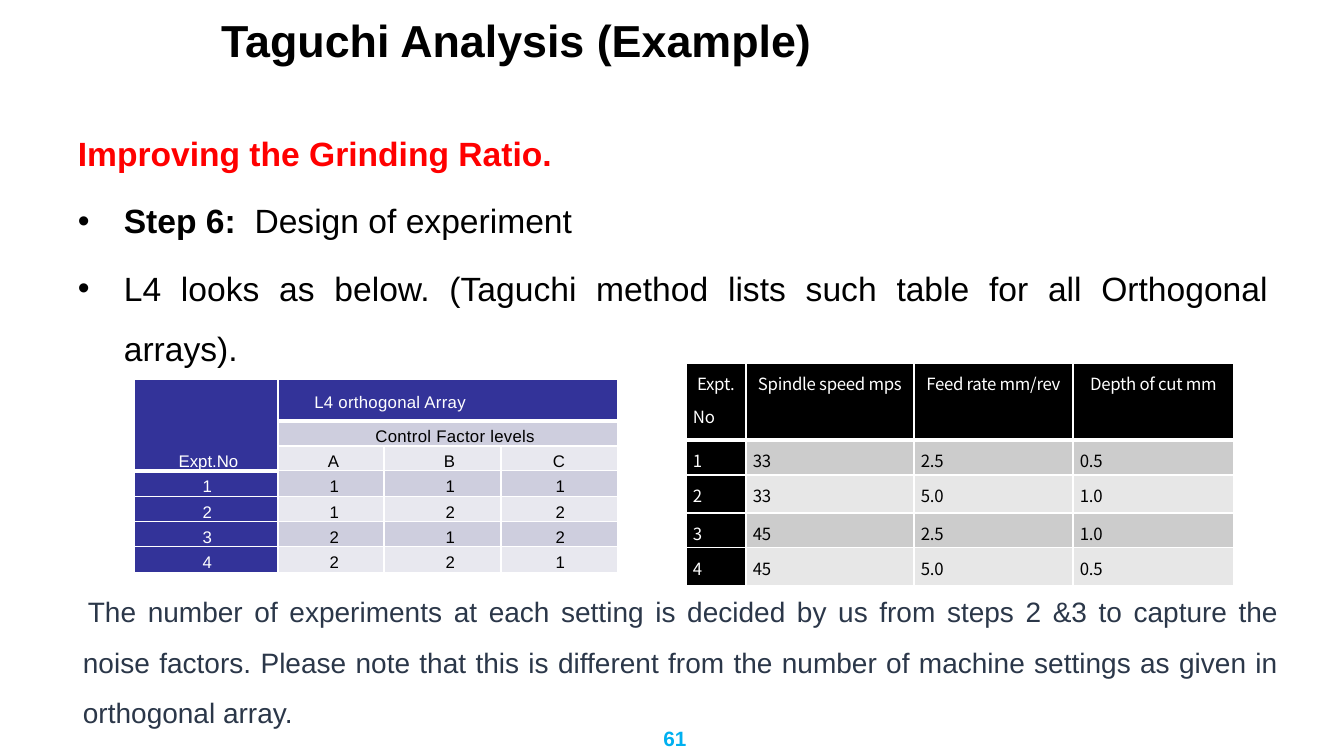
import lxml.etree
import pptx
import pptx.dml.color
import pptx.enum.text
import pptx.oxml.ns
import pptx.util

ALIGN = pptx.enum.text.PP_ALIGN
ANCHOR = pptx.enum.text.MSO_ANCHOR
EMU_PER_PX = 12192000 / 1344


def px(length):
    """Turn px into EMU."""
    return pptx.util.Emu(round(length * EMU_PER_PX))


def color(value):
    """Turn a hex string into a colour."""
    return pptx.dml.color.RGBColor.from_string(value)


def add_element(parent, tag, **attributes):
    """Append a DrawingML element."""
    element = lxml.etree.SubElement(parent, pptx.oxml.ns.qn("a:" + tag))
    for name, value in attributes.items():
        element.set(name, str(value))
    return element


def place(shape, box):
    """Move a shape to a px box."""
    shape.left, shape.top, shape.width, shape.height = map(px, box)


def write(paragraph, text, size=12, font="Arial", ink="000000", bold=False,
          align=None, line_spacing=None, space_before=0, left=0, indent=0,
          bullet=None, tracking=0):
    """Add a run of text and format its paragraph."""
    paragraph.alignment = align
    paragraph.line_spacing = line_spacing
    paragraph.space_before = pptx.util.Pt(space_before)
    properties = paragraph._p.get_or_add_pPr()
    properties.set("marL", str(px(left)))
    properties.set("indent", str(px(indent)))
    if bullet and properties.find(pptx.oxml.ns.qn("a:buChar")) is None:
        add_element(properties, "buFont", typeface="Arial")
        add_element(properties, "buChar", char=bullet)
    run = paragraph.add_run()
    run.text = text
    run.font.size = pptx.util.Pt(size)
    run.font.name = font
    run.font.bold = bold
    run.font.color.rgb = color(ink)
    if tracking:
        run._r.get_or_add_rPr().set("spc", str(tracking))


def add_text_box(slide, box):
    """Add a wrapping text box and return its frame."""
    frame = slide.shapes.add_textbox(*map(px, box)).text_frame
    frame.word_wrap = True
    return frame


def add_title(slide, box):
    """Place and write the title."""
    title = slide.shapes.title
    place(title, box)
    frame = title.text_frame
    frame.auto_size = pptx.enum.text.MSO_AUTO_SIZE.NONE
    frame.vertical_anchor = ANCHOR.MIDDLE
    write(frame.paragraphs[0], "Taguchi Analysis (Example)", size=32, bold=True,
          align=ALIGN.LEFT)


def add_steps(slide, box):
    """Write the red heading and the bulleted steps."""
    frame = add_text_box(slide, box)
    body = dict(size=24, align=ALIGN.JUSTIFY, line_spacing=1.5)
    item = dict(body, space_before=4.8, left=46, indent=-46, bullet="•")
    write(frame.paragraphs[0], "Improving the Grinding Ratio.", ink="FF0000",
          bold=True, **body)
    design = frame.add_paragraph()
    write(design, "Step 6: ", bold=True, **item)
    write(design, " Design of experiment", **item)
    write(frame.add_paragraph(), "L4 looks as below. (Taguchi method lists such "
          "table for all Orthogonal arrays).", **item)


def add_note(slide, box):
    """Write the note under the tables."""
    frame = add_text_box(slide, box)
    frame.margin_right = px(33)
    write(frame.paragraphs[0], "The number of experiments at each setting is decided "
          "by us from steps 2 &3 to capture the noise factors. Please note that this "
          "is different from the number of machine settings as given in orthogonal "
          "array.", size=20, ink="2B3749", align=ALIGN.JUSTIFY, line_spacing=1.5,
          left=5, indent=5)


def add_page_number(slide, box):
    """Write the page number."""
    write(add_text_box(slide, box).paragraphs[0], "61", size=14.8, ink="00B0F0",
          bold=True, align=ALIGN.CENTER)


def add_banded_table(slide, corner, widths, heights, head, bands, side_margin):
    """Add a table with filled header row and column, banded rows and white borders."""
    box = (*corner, sum(widths), sum(heights))
    table = slide.shapes.add_table(len(heights), len(widths), *map(px, box)).table
    for column, width in zip(table.columns, widths):
        column.width = px(width)
    for row_index, height in enumerate(heights):
        table.rows[row_index].height = px(height)
        for column_index in range(len(widths)):
            cell = table.cell(row_index, column_index)
            cell.margin_left = cell.margin_right = px(side_margin)
            cell.margin_top = cell.margin_bottom = 0
            properties = cell._tc.get_or_add_tcPr()
            for side in "LRTB":
                points = 3 if side == "B" and row_index == 0 else 1
                line = add_element(properties, "ln" + side, w=pptx.util.Pt(points))
                fill = add_element(line, "solidFill")
                add_element(fill, "srgbClr", val="FFFFFF")
            cell.fill.solid()
            is_head = row_index == 0 or column_index == 0
            cell.fill.fore_color.rgb = color(head if is_head else bands[row_index % 2])
    return table


def add_orthogonal_array(slide, corner):
    """Add the L4 array of factor levels."""
    table = add_banded_table(slide, corner, [144, 106, 117, 117],
                             [42, 25, 25, 26, 25, 25, 26], "333399",
                             ["E8E8EF", "CECEDE"], 0)
    table.cell(0, 0).merge(table.cell(2, 0))
    table.cell(0, 1).merge(table.cell(0, 3))
    table.cell(1, 1).merge(table.cell(1, 3))
    rows = [["Expt.No", "L4 orthogonal Array"], ["", "Control Factor levels"],
            ["", "A", "B", "C"], "1111", "2122", "3212", "4221"]
    digit_margins = [66, 45, 46, 53]
    span_margins = {0: 152, 1: 83}
    for row_index, texts in enumerate(rows):
        for column_index, text in enumerate(texts):
            if not text:
                continue
            cell = table.cell(row_index, column_index)
            corner_cell = row_index == column_index == 0
            cell.vertical_anchor = ANCHOR.BOTTOM if corner_cell else ANCHOR.MIDDLE
            if not corner_cell:
                cell.margin_right = px(span_margins.get(row_index,
                                                        digit_margins[column_index]))
            write(cell.text_frame.paragraphs[0], text,
                  ink="FFFFFF" if row_index == 0 or column_index == 0 else "000000",
                  align=ALIGN.CENTER if corner_cell else ALIGN.RIGHT, left=5,
                  line_spacing=pptx.util.Pt(17.8),
                  tracking=20 if row_index < 2 and column_index else 0)


def add_settings_table(slide, corner):
    """Add the table of machine settings."""
    table = add_banded_table(slide, corner, [60, 168, 159, 161],
                             [77, 35, 38, 35, 38], "000000",
                             ["E7E7E7", "CCCCCC"], 7)
    rows = [["Expt.\nNo", "Spindle speed mps", "Feed rate mm/rev", "Depth of cut mm"],
            ["1", "33", "2.5", "0.5"], ["2", "33", "5.0", "1.0"],
            ["3", "45", "2.5", "1.0"], ["4", "45", "5.0", "0.5"]]
    for row_index, texts in enumerate(rows):
        for column_index, text in enumerate(texts):
            frame = table.cell(row_index, column_index).text_frame
            for line_index, line in enumerate(text.split("\n")):
                paragraph = frame.add_paragraph() if line_index else frame.paragraphs[0]
                centred = row_index == 0 and line_index == 0
                write(paragraph, line, font="Noto Sans CJK KR", line_spacing=1.35,
                      ink="FFFFFF" if row_index == 0 or column_index == 0 else "000000",
                      align=ALIGN.CENTER if centred else ALIGN.JUSTIFY, tracking=-20)


def main():
    """Build the slide and save it."""
    presentation = pptx.Presentation()
    presentation.slide_width, presentation.slide_height = px(1344), px(756)
    slide = presentation.slides.add_slide(presentation.slide_layouts[5])
    add_title(slide, (211, 16, 1132, 47))
    add_steps(slide, (68, 108, 1210, 568))
    add_page_number(slide, (621, 721, 108, 41))
    add_orthogonal_array(slide, (134, 379))
    add_settings_table(slide, (686, 363))
    add_note(slide, (68, 573, 1244, 163))
    presentation.save("out.pptx")


if __name__ == "__main__":
    main()
